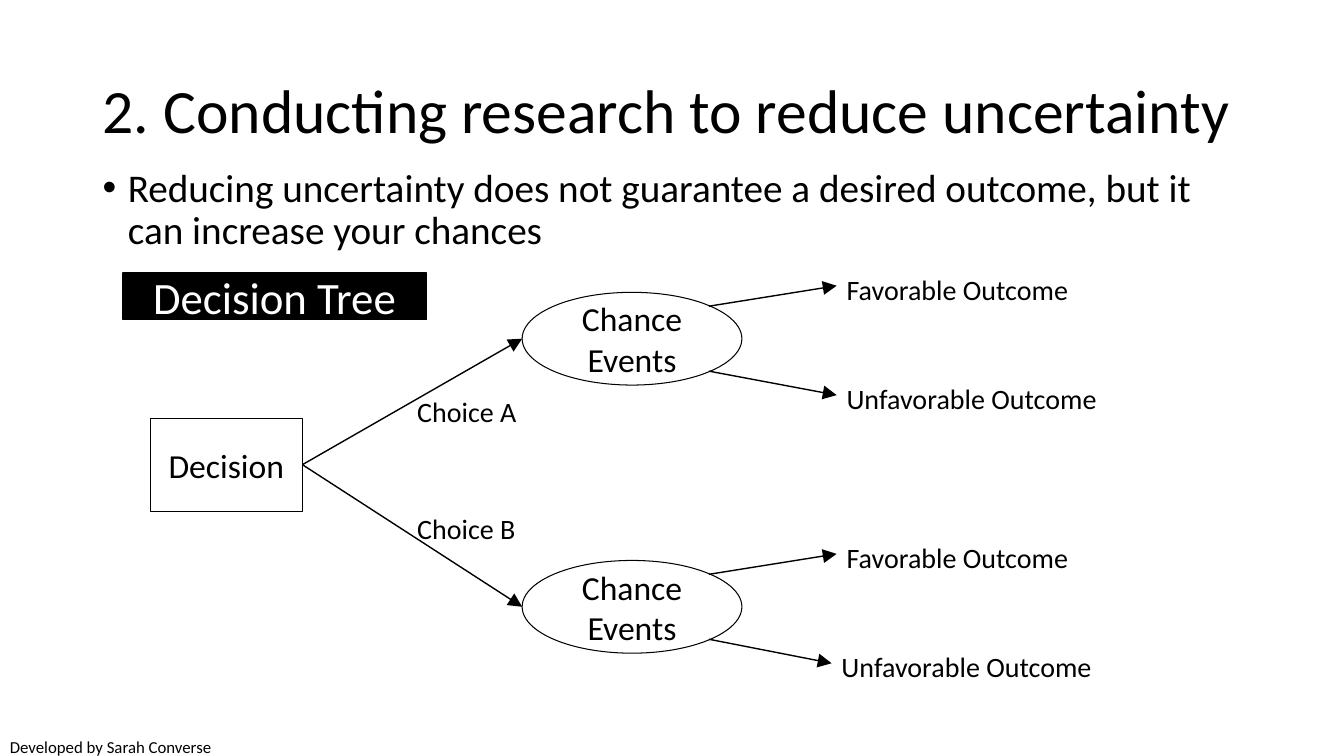
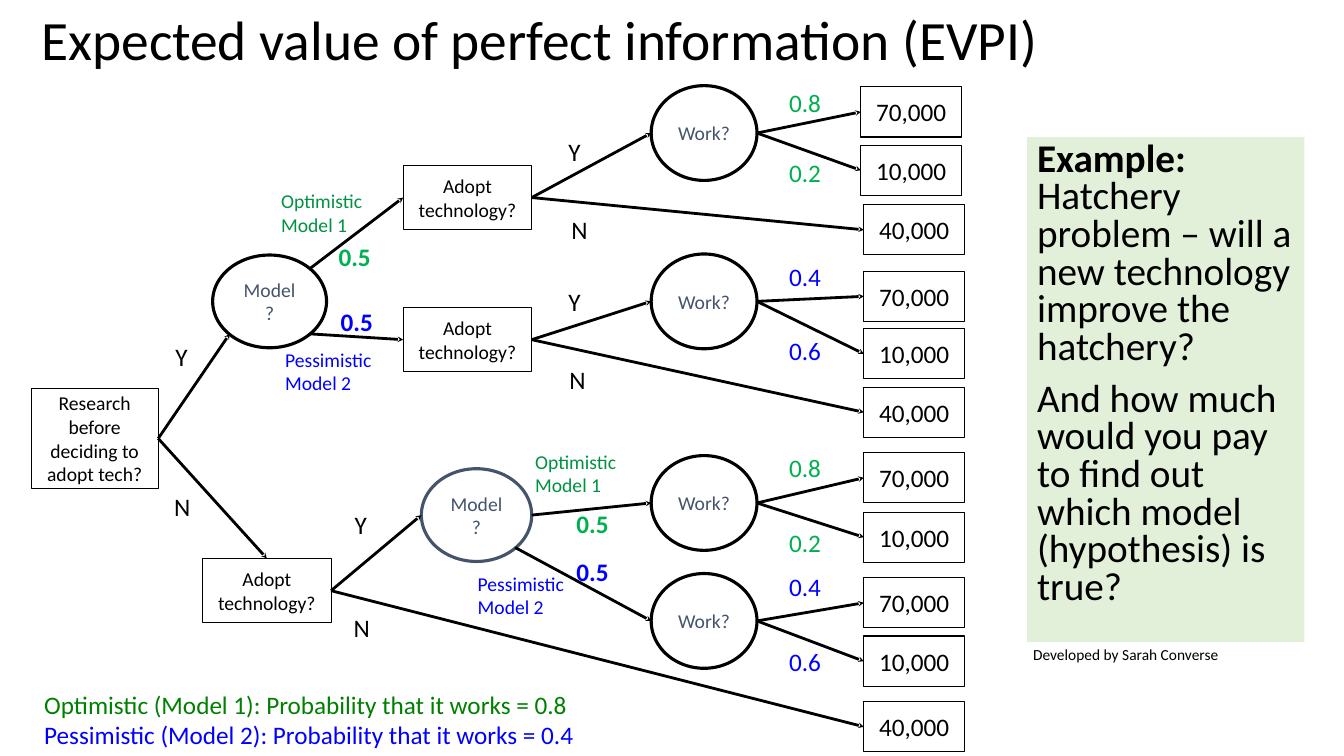
from dataclasses import dataclass
from enum import Enum
from typing import NamedTuple

from lxml import etree
from pptx import Presentation
from pptx.dml.color import RGBColor
from pptx.enum.shapes import MSO_CONNECTOR, MSO_SHAPE, MSO_SHAPE_TYPE
from pptx.enum.text import MSO_ANCHOR, MSO_AUTO_SIZE, PP_ALIGN
from pptx.oxml.ns import qn
from pptx.shapes.autoshape import Shape
from pptx.slide import Slide
from pptx.text.text import TextFrame
from pptx.util import Emu, Inches, Pt

RECTANGLE, ELLIPSE = MSO_SHAPE.RECTANGLE, MSO_SHAPE.OVAL
STRAIGHT, TEXT_BOX = MSO_CONNECTOR.STRAIGHT, MSO_SHAPE_TYPE.TEXT_BOX
LEFT, CENTER = PP_ALIGN.LEFT, PP_ALIGN.CENTER
TOP, MIDDLE = MSO_ANCHOR.TOP, MSO_ANCHOR.MIDDLE

# Every length below counts square grid cells; the slide is 133.33 columns by 75 rows.
CELL = Inches(0.1)
COLUMNS, ROWS = 133.33, 75
TITLE_ONLY = 5

FONT = "Calibri"
BLACK, WHITE, SLATE = "000000", "FFFFFF", "44546A"
GREEN, DARK_GREEN, LEGEND_GREEN = "00B050", "009242", "008000"
BLUE, PALE_GREEN = "0000FF", "E2F0D9"
CREDIT = "Developed by Sarah Converse"
EDGE = 0.15  # share of an ellipse's box outside its diagonal points


class Side(Enum):
    """Where an arrow meets a shape, as shares of its width and height."""
    TOP = (0.5, 0)
    LEFT = (0, 0.5)
    RIGHT = (1, 0.5)
    UPPER_RIGHT = (1 - EDGE, EDGE)
    LOWER_RIGHT = (1 - EDGE, 1 - EDGE)
    LOWER_LEFT = (EDGE, 1 - EDGE)


RECTANGLE_SITES = {Side.TOP: 0, Side.LEFT: 1, Side.RIGHT: 3}


class Box(NamedTuple):
    left: float
    top: float
    width: float
    height: float


class Run(NamedTuple):
    text: str
    color: str | None = None
    bold: bool | None = None


class ArrowStyle(NamedTuple):
    weight: float
    head: str
    head_size: str


@dataclass(frozen=True)
class Label:
    text: str
    left: float
    top: float
    width: float = 5.5
    color: str = BLACK
    size: float = 18
    bold: bool = False


@dataclass(frozen=True)
class Gamble:
    """A chance node with a good and a bad payoff."""
    top: float
    good_top: float
    bad_top: float
    good_label_top: float
    bad_label_top: float
    good_chance: str
    bad_chance: str
    color: str
    payoff_left: float = 85.7


BROAD_ARROW = ArrowStyle(1, "triangle", "lg")
TREE_ARROW = ArrowStyle(2, "stealth", "sm")


def rgb(color: str) -> RGBColor:
    return RGBColor.from_string(color)


def cells(count: float) -> Emu:
    return Emu(round(count * CELL))


def place(box: Box) -> tuple[Emu, ...]:
    return tuple(cells(length) for length in box)


def write_text(frame: TextFrame, *lines: str | list[Run], size: float = 18,
               color: str = BLACK, bold: bool = False, align: PP_ALIGN = LEFT,
               anchor: MSO_ANCHOR = TOP, spacing: float = 1, gap: float = 0,
               bullet: str = "") -> None:
    frame.word_wrap = True
    frame.auto_size = MSO_AUTO_SIZE.NONE
    frame.vertical_anchor = anchor
    for index, line in enumerate(lines):
        paragraph = frame.add_paragraph() if index else frame.paragraphs[0]
        if bullet:
            properties = paragraph._p.get_or_add_pPr()
            properties.set("marL", str(cells(2.5)))
            properties.set("indent", str(cells(-2.5)))
            etree.SubElement(properties, qn("a:buFont"), typeface="Arial")
            etree.SubElement(properties, qn("a:buChar"), char=bullet)
        paragraph.alignment = align
        paragraph.line_spacing = spacing
        paragraph.space_before = Pt(gap if index else 0)
        for part in [Run(line)] if isinstance(line, str) else line:
            run = paragraph.add_run()
            run.text = part.text
            run.font.name = FONT
            run.font.size = Pt(size)
            run.font.bold = bold if part.bold is None else part.bold
            run.font.color.rgb = rgb(part.color or color)


def add_text(slide: Slide, box: Box, *lines: str | list[Run], **text_format) -> Shape:
    shape = slide.shapes.add_textbox(*place(box))
    write_text(shape.text_frame, *lines, **text_format)
    return shape


def add_label(slide: Slide, label: Label) -> None:
    lines = label.text.split("\n")
    box = Box(label.left, label.top, label.width, 4 if len(lines) == 1 else 5.7)
    add_text(slide, box, *lines, size=label.size, color=label.color, bold=label.bold)


def add_node(slide: Slide, kind: MSO_SHAPE, box: Box, *lines: str | list[Run],
             fill: str | None = None, outline: str | None = BLACK,
             weight: float = 0.75, align: PP_ALIGN = CENTER,
             anchor: MSO_ANCHOR = MIDDLE, **text_format) -> Shape:
    shape = slide.shapes.add_shape(kind, *place(box))
    shape.shadow.inherit = False
    if fill:
        shape.fill.solid()
        shape.fill.fore_color.rgb = rgb(fill)
    else:
        shape.fill.background()
    if outline:
        shape.line.color.rgb = rgb(outline)
        shape.line.width = Pt(weight)
    else:
        shape.line.fill.background()
    write_text(shape.text_frame, *lines, align=align, anchor=anchor, **text_format)
    return shape


def point_on(shape: Shape, side: Side) -> tuple[int, int]:
    across, down = side.value
    return (round(shape.left + across * shape.width),
            round(shape.top + down * shape.height))


def is_rectangle(shape: Shape) -> bool:
    return shape.shape_type == TEXT_BOX or shape.auto_shape_type == RECTANGLE


def add_arrow(slide: Slide, start: Shape, start_side: Side, end: Shape,
              end_side: Side = Side.LEFT, style: ArrowStyle = TREE_ARROW) -> None:
    connector = slide.shapes.add_connector(
        STRAIGHT, *point_on(start, start_side), *point_on(end, end_side))
    if is_rectangle(start):
        connector.begin_connect(start, RECTANGLE_SITES[start_side])
    if is_rectangle(end):
        connector.end_connect(end, RECTANGLE_SITES[end_side])
    connector.line.color.rgb = rgb(BLACK)
    connector.line.width = Pt(style.weight)
    properties = connector.element.spPr
    etree.SubElement(properties.find(qn("a:ln")), qn("a:tailEnd"), type=style.head,
                     w=style.head_size, len=style.head_size)
    etree.SubElement(properties, qn("a:effectLst"))


def add_titled_slide(presentation: Presentation, title: str, box: Box,
                     size: float) -> Slide:
    slide = presentation.slides.add_slide(presentation.slide_layouts[TITLE_ONLY])
    shape = slide.shapes.title
    shape.left, shape.top, shape.width, shape.height = place(box)
    write_text(shape.text_frame, title, size=size, anchor=MIDDLE, spacing=0.9)
    return slide


def build_decision_slide(presentation: Presentation) -> None:
    slide = add_titled_slide(presentation, "2. Conducting research to reduce uncertainty",
                             Box(9.2, 4, 115, 14.5), 44)
    add_text(slide, Box(9.2, 16.2, 115, 10.3),
             "Reducing uncertainty does not guarantee a desired outcome, "
             "but it can increase your chances", size=28, spacing=0.9, bullet="•")
    add_node(slide, RECTANGLE, Box(12.2, 27.1, 30.1, 4.6), "Decision Tree",
             fill=BLACK, weight=1, size=32, color=WHITE)
    decision = add_node(slide, RECTANGLE, Box(14.9, 41.5, 15.1, 9.2), "Decision", size=24)
    for choice, choice_top, chance_top, unfavorable_left in (
            ("Choice A", 38.6, 29, 83), ("Choice B", 50.3, 55.6, 82.5)):
        add_text(slide, Box(40.4, choice_top, 18.9, 3.7), choice, size=20)
        chance = add_node(slide, ELLIPSE, Box(51.8, chance_top, 21.8, 9.2),
                          "Chance Events", size=24)
        add_arrow(slide, decision, Side.RIGHT, chance, style=BROAD_ARROW)
        for outcome, left, drop, side in (
                ("Favorable Outcome", 83, -2.5, Side.UPPER_RIGHT),
                ("Unfavorable Outcome", unfavorable_left, 8.35, Side.LOWER_RIGHT)):
            result = add_text(slide, Box(left, chance_top + drop, 28.4, 3.7),
                              outcome, size=20)
            add_arrow(slide, chance, side, result, style=BROAD_ARROW)
    add_text(slide, Box(0, 72.6, 25.4, 2.4), CREDIT, size=12)


def add_payoff(slide: Slide, amount: str, top: float, left: float = 85.7) -> Shape:
    return add_node(slide, RECTANGLE, Box(left, top, 10, 5), amount)


def add_gamble(slide: Slide, gamble: Gamble) -> Shape:
    work = add_node(slide, ELLIPSE, Box(64.6, gamble.top, 10.5, 9.4), "Work?",
                    weight=2.25, size=14, color=SLATE)
    for amount, top, chance, label_top in (
            ("70,000", gamble.good_top, gamble.good_chance, gamble.good_label_top),
            ("10,000", gamble.bad_top, gamble.bad_chance, gamble.bad_label_top)):
        payoff = add_payoff(slide, amount, top, gamble.payoff_left)
        add_arrow(slide, work, Side.RIGHT, payoff)
        add_label(slide, Label(chance, 77.3, label_top, color=gamble.color))
    return work


def add_adoption(slide: Slide, left: float, top: float, payoff_top: float) -> Shape:
    """Draw an adoption decision and the sure payoff of saying no."""
    adoption = add_node(slide, RECTANGLE, Box(left, top, 12.75, 6.4),
                        "Adopt technology?", size=14)
    add_arrow(slide, adoption, Side.RIGHT, add_payoff(slide, "40,000", payoff_top))
    return adoption


GAMBLES = (
    Gamble(8.5, 8.6, 14.4, 8.2, 15.1, "0.8", "0.2", GREEN, payoff_left=85.4),
    Gamble(25.2, 26.9, 32.6, 25.4, 32.8, "0.4", "0.6", BLUE),
    Gamble(45.2, 44.9, 50.8, 44.4, 51.8, "0.8", "0.2", GREEN),
    Gamble(56.9, 57.3, 63.1, 56.2, 63.6, "0.4", "0.6", BLUE),
)
ANSWERS = (("Y", 16.4, 33.4), ("N", 16.3, 48.3), ("Y", 34.2, 50), ("N", 34.1, 60.3),
           ("Y", 55.4, 13), ("N", 55.7, 20.8), ("Y", 55.4, 27.9), ("N", 55.5, 35.7))
MODEL_LABELS = (
    Label("Optimistic\nModel 1", 26.9, 18.3, 11.8, DARK_GREEN, 14),
    Label("Pessimistic\nModel 2", 27.3, 34, 11.8, BLUE, 14),
    Label("Optimistic\nModel 1", 52.1, 44.1, 11.8, DARK_GREEN, 14),
    Label("Pessimistic\nModel 2", 46.4, 56.2, 11.8, BLUE, 14),
    Label("0.5", 32.6, 23.4, color=GREEN, bold=True),
    Label("0.5", 32.8, 29.9, color=BLUE, bold=True),
    Label("0.5", 56.2, 49.9, color=GREEN, bold=True),
    Label("0.5", 56.2, 54.7, color=BLUE, bold=True),
)


def build_information_slide(presentation: Presentation) -> None:
    slide = add_titled_slide(presentation, "Expected value of perfect information (EVPI)",
                             Box(3.1, 1.9, 115, 4.7), 39.6)
    research = add_node(slide, RECTANGLE, Box(3.1, 38.5, 12.6, 10),
                        "Research before deciding to adopt tech?", size=14)
    known_model = add_node(slide, ELLIPSE, Box(21.1, 25.3, 11.3, 9.2), "Model?",
                           weight=2.25, size=14, color=SLATE)
    unknown_model = add_node(slide, ELLIPSE, Box(41.8, 46.5, 10.95, 9.2), "Model", "?",
                             outline=SLATE, weight=2.25, size=14, color=SLATE)
    optimist = add_adoption(slide, 40, 16.4, 20.3)
    pessimist = add_adoption(slide, 40, 30.5, 38.4)
    uninformed = add_adoption(slide, 20.1, 55.4, 69.6)
    works = [add_gamble(slide, gamble) for gamble in GAMBLES]
    for start, start_side, end, end_side in (
            (research, Side.RIGHT, known_model, Side.LOWER_LEFT),
            (research, Side.RIGHT, uninformed, Side.TOP),
            (known_model, Side.UPPER_RIGHT, optimist, Side.LEFT),
            (known_model, Side.LOWER_RIGHT, pessimist, Side.LEFT),
            (optimist, Side.RIGHT, works[0], Side.LEFT),
            (pessimist, Side.RIGHT, works[1], Side.LEFT),
            (uninformed, Side.RIGHT, unknown_model, Side.LEFT),
            (unknown_model, Side.RIGHT, works[2], Side.LEFT),
            (unknown_model, Side.LOWER_RIGHT, works[3], Side.LEFT)):
        add_arrow(slide, start, start_side, end, end_side)
    for label in MODEL_LABELS + tuple(Label(*answer, width=3.8) for answer in ANSWERS):
        add_label(slide, label)
    add_text(slide, Box(3.4, 67.9, 60.5, 7.1),
             [Run("Optimistic (Model 1): Probability that it works = 0.8", LEGEND_GREEN)],
             [Run("Pessimistic (Model 2): Probability that it works = 0.4", BLUE)])
    add_node(slide, RECTANGLE, Box(101.9, 13.6, 27.5, 50.1),
             [Run("Example: ", bold=True),
              Run("Hatchery problem – will a new technology improve the hatchery?")],
             "And how much would you pay to find out which model (hypothesis) is true?",
             fill=PALE_GREEN, outline=None, align=LEFT, anchor=TOP, size=28,
             spacing=0.8, gap=10)
    add_text(slide, Box(101.5, 63.5, 22.1, 2.9), CREDIT, size=11)


def main() -> None:
    presentation = Presentation()
    presentation.slide_width, presentation.slide_height = cells(COLUMNS), cells(ROWS)
    build_decision_slide(presentation)
    build_information_slide(presentation)
    presentation.save("out.pptx")


if __name__ == "__main__":
    main()
